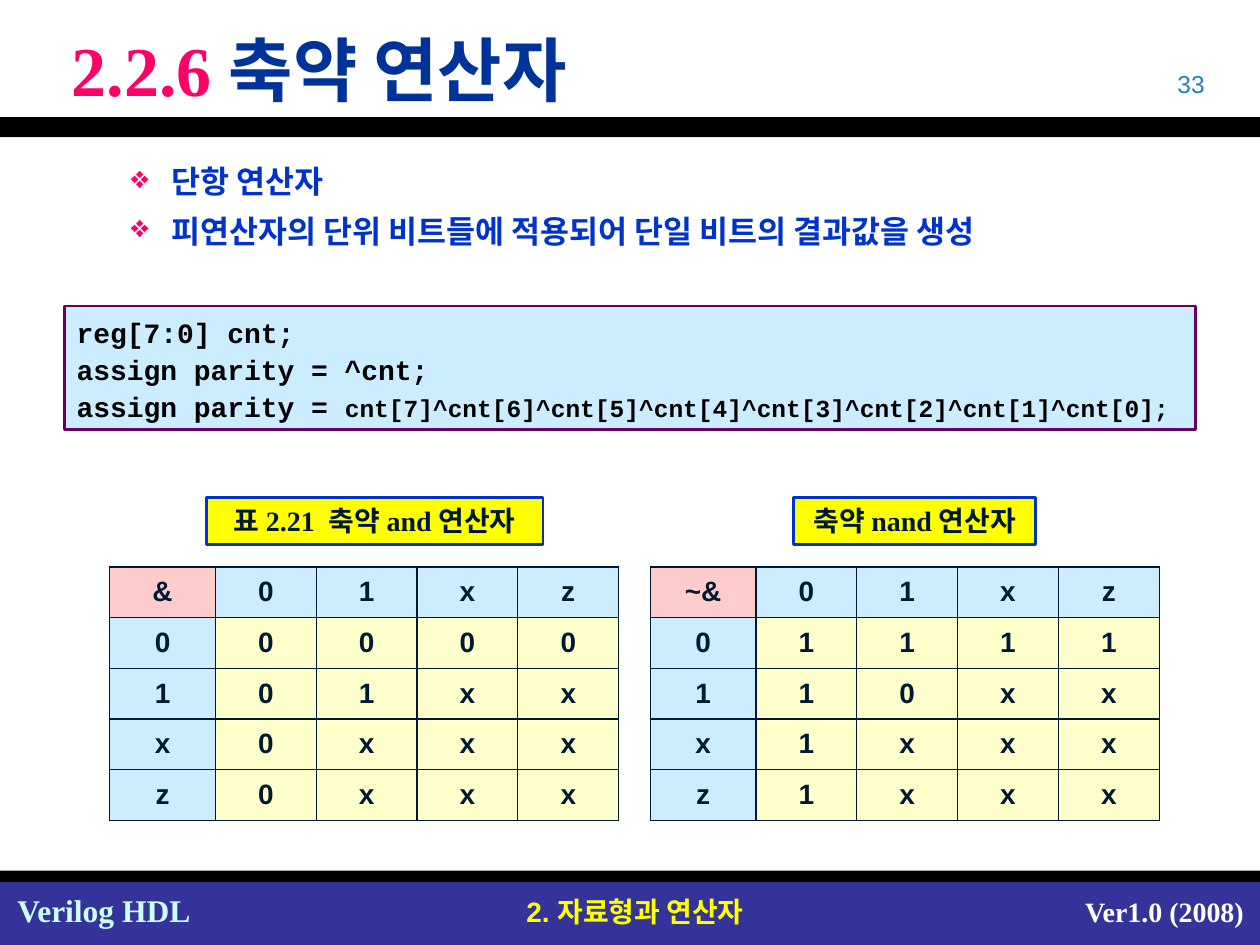
from dataclasses import dataclass
from typing import Optional

from lxml.etree import SubElement
from pptx import Presentation
from pptx.dml.color import RGBColor
from pptx.enum.shapes import MSO_SHAPE
from pptx.enum.text import MSO_ANCHOR, PP_ALIGN
from pptx.oxml.ns import qn
from pptx.util import Inches, Pt

COLORS = {
    "footer": "333399", "black": "000000", "white": "FFFFFF", "yellow": "FFFF00",
    "pale_cyan": "CCFFFF", "number": "2181B7", "pink": "FF0066", "title": "003399",
    "blue": "0033CC", "purple": "660066", "ink": "001932", "light_blue": "CCECFF",
    "rose": "FFCCCC", "cream": "FFFFCC",
}


@dataclass
class Run:
    text: str
    size: float
    color: str
    font: str = "Times New Roman"
    bold: bool = True


@dataclass
class Box:
    left: float
    top: float
    width: float
    height: float
    paragraphs: list[list[Run]]
    align: PP_ALIGN = PP_ALIGN.LEFT
    anchor: MSO_ANCHOR = MSO_ANCHOR.TOP
    wrap: bool = True
    spacing: Optional[float] = None
    indent: float = 0
    hanging: float = 0
    bullet: str = ""
    fill: str = ""
    line: str = ""


@dataclass
class TruthTable:
    left: float
    rows: list[str]


def rgb(name: str) -> RGBColor:
    return RGBColor.from_string(COLORS[name])


def add_run(paragraph, run: Run) -> None:
    text_run = paragraph.add_run()
    text_run.text = run.text
    text_run.font.size = Pt(run.size)
    text_run.font.name = run.font
    text_run.font.bold = run.bold
    text_run.font.color.rgb = rgb(run.color)


def add_bullet(paragraph, character: str) -> None:
    properties = paragraph._p.get_or_add_pPr()
    color = SubElement(properties, qn("a:buClr"))
    SubElement(color, qn("a:srgbClr"), val=COLORS["pink"])
    SubElement(properties, qn("a:buChar"), char=character)


def add_bar(slide, left: float, top: float, width: float, height: float, fill: str, line: str = ""):
    shape = slide.shapes.add_shape(
        MSO_SHAPE.RECTANGLE, Inches(left), Inches(top), Inches(width), Inches(height))
    shape.shadow.inherit = False
    shape.fill.solid()
    shape.fill.fore_color.rgb = rgb(fill)
    if line:
        shape.line.color.rgb = rgb(line)
        shape.line.width = Pt(1.5)
    else:
        shape.line.fill.background()
    return shape


def add_box(slide, box: Box) -> None:
    place = (box.left, box.top, box.width, box.height)
    if box.fill:
        shape = add_bar(slide, *place, box.fill, box.line)
    else:
        shape = slide.shapes.add_textbox(*(Inches(length) for length in place))
    frame = shape.text_frame
    frame.word_wrap = box.wrap
    frame.vertical_anchor = box.anchor
    for index, runs in enumerate(box.paragraphs):
        paragraph = frame.add_paragraph() if index else frame.paragraphs[0]
        if box.bullet:
            add_bullet(paragraph, box.bullet)
        paragraph.alignment = box.align
        if box.spacing:
            paragraph.line_spacing = box.spacing
        if box.indent:
            properties = paragraph._p.get_or_add_pPr()
            properties.set("marL", str(Inches(box.indent)))
            properties.set("indent", str(Inches(box.hanging)))
        for run in runs:
            add_run(paragraph, run)


def add_borders(cell) -> None:
    properties = cell._tc.get_or_add_tcPr()
    for side in ("lnL", "lnR", "lnT", "lnB"):
        border = SubElement(properties, qn(f"a:{side}"), w=str(Pt(0.75)))
        fill = SubElement(border, qn("a:solidFill"))
        SubElement(fill, qn("a:srgbClr"), val=COLORS["ink"])


def add_truth_table(slide, truth_table: TruthTable) -> None:
    rows = [row.split() for row in truth_table.rows]
    table = slide.shapes.add_table(
        len(rows), len(rows[0]), Inches(truth_table.left), Inches(4.5), Inches(4.05), Inches(2.01)).table
    table.first_row = False
    table.horz_banding = False
    for index, column in enumerate(table.columns):
        column.width = Inches(0.8 if index else 0.84)
    for row_index, row in enumerate(rows):
        for column_index, text in enumerate(row):
            cell = table.cell(row_index, column_index)
            add_borders(cell)
            header_count = (row_index == 0) + (column_index == 0)
            cell.fill.solid()
            cell.fill.fore_color.rgb = rgb(("cream", "light_blue", "rose")[header_count])
            cell.vertical_anchor = MSO_ANCHOR.MIDDLE
            paragraph = cell.text_frame.paragraphs[0]
            paragraph.alignment = PP_ALIGN.CENTER
            add_run(paragraph, Run(text, 16, "ink", "Arial"))


def code(text: str, size: float = 16) -> Run:
    return Run(text, size, "black", "Courier New")


def caption(left: float, width: float, text: str) -> Box:
    return Box(left, 3.95, width, 0.37, [[Run(text, 16, "ink")]],
               align=PP_ALIGN.CENTER, wrap=False, fill="yellow", line="blue")


BOXES = [
    Box(3.9, 7.05, 2.28, 0.37, [[Run("2. 자료형과 연산자", 16, "yellow", "Arial")]], align=PP_ALIGN.CENTER),
    Box(8.39, 7.05, 1.58, 0.37, [[Run("Ver1.0 (2008)", 16, "white")]], align=PP_ALIGN.RIGHT, wrap=False),
    Box(0.04, 7.02, 1.58, 0.4, [[Run("Verilog HDL", 18, "pale_cyan")]], wrap=False),
    Box(7.33, 0.5, 2.33, 0.33, [[Run("33", 14, "number", "Arial", False)]], align=PP_ALIGN.RIGHT),
    Box(0.17, 0.13, 9.67, 0.83, [[Run("2.2.6 ", 40, "pink"), Run("축약 연산자", 40, "title")]],
        anchor=MSO_ANCHOR.MIDDLE, indent=0.3),
    Box(0.42, 1.15, 9.25, 1.02,
        [[Run(text, 18, "blue", "Arial")] for text in (
            "단항 연산자", "피연산자의 단위 비트들에 적용되어 단일 비트의 결과값을 생성")],
        spacing=1.3, indent=0.84, hanging=-0.32, bullet="❖"),
    Box(0.51, 2.43, 8.98, 0.98,
        [[code("reg[7:0] cnt;")],
         [code("assign parity = ^cnt;")],
         [code("assign parity = "), code("cnt[7]^cnt[6]^cnt[5]^cnt[4]^cnt[3]^cnt[2]^cnt[1]^cnt[0];", 14)]],
        anchor=MSO_ANCHOR.MIDDLE, spacing=1.1, fill="light_blue", line="purple"),
    caption(1.64, 2.67, "표 2.21  축약 and 연산자"),
    caption(6.3, 1.92, "축약 nand 연산자"),
]

TRUTH_TABLES = [
    TruthTable(0.87, ["& 0 1 x z", "0 0 0 0 0", "1 0 1 x x", "x 0 x x x", "z 0 x x x"]),
    TruthTable(5.16, ["~& 0 1 x z", "0 1 1 1 1", "1 1 0 x x", "x 1 x x x", "z 1 x x x"]),
]


def main() -> None:
    presentation = Presentation()
    presentation.slide_width = Inches(10)
    presentation.slide_height = Inches(7.5)
    slide = presentation.slides.add_slide(presentation.slide_layouts[6])
    for top, height, fill in ((7, 0.5, "footer"), (0.93, 0.16, "black"), (6.91, 0.09, "black")):
        add_bar(slide, 0, top, 10, height, fill)
    for box in BOXES:
        add_box(slide, box)
    for truth_table in TRUTH_TABLES:
        add_truth_table(slide, truth_table)
    presentation.save("out.pptx")


if __name__ == "__main__":
    main()
